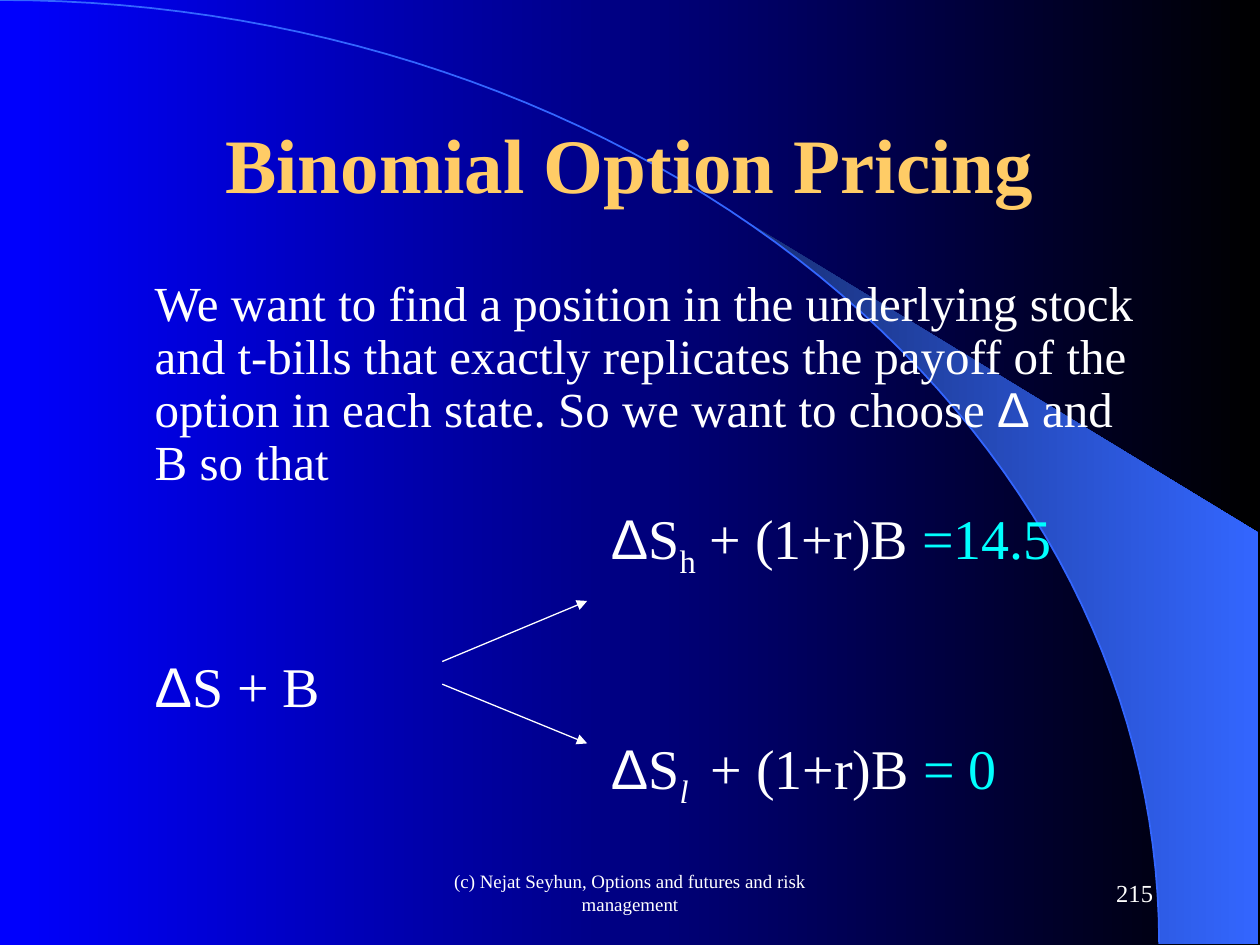
from dataclasses import dataclass
from math import asin, cos, pi, sin

from lxml import etree
from pptx import Presentation
from pptx.dml.color import RGBColor
from pptx.enum.shapes import MSO_CONNECTOR
from pptx.enum.text import MSO_ANCHOR, PP_ALIGN
from pptx.oxml.ns import qn
from pptx.shapes.autoshape import Shape
from pptx.slide import Slide
from pptx.util import Inches, Pt

STRAIGHT = MSO_CONNECTOR.STRAIGHT
TOP, MIDDLE = MSO_ANCHOR.TOP, MSO_ANCHOR.MIDDLE
LEFT, CENTER, RIGHT = PP_ALIGN.LEFT, PP_ALIGN.CENTER, PP_ALIGN.RIGHT

BLUE = RGBColor(0x00, 0x00, 0xFF)
BLACK = RGBColor(0x00, 0x00, 0x00)
WHITE = RGBColor(0xFF, 0xFF, 0xFF)
GOLD = RGBColor(0xFF, 0xCC, 0x66)
CYAN = RGBColor(0x00, 0xFF, 0xFF)
NAVY = RGBColor(0x18, 0x2F, 0x76)
AZURE = RGBColor(0x33, 0x66, 0xFF)

SERIF = "Times New Roman"
SANS = "Arial"
COLUMNS, ROWS = 120, 90
SLIDE_WIDTH, SLIDE_HEIGHT = Inches(10), Inches(7.5)
CELL = SLIDE_WIDTH / COLUMNS

ARC_WIDTH, ARC_HEIGHT = 110.4, 89.88
WEDGE_START = 70.68
WEDGE_RIGHT, WEDGE_SHOULDER = 119.88, 50.76
ARC_STEPS = 60

Point = tuple[float, float]


@dataclass(frozen=True)
class Span:
    text: str
    font: str = SERIF
    color: RGBColor = WHITE
    bold: bool = False
    italic: bool = False
    subscript: bool = False


@dataclass(frozen=True)
class Para:
    spans: tuple[Span, ...]
    size: float
    align: PP_ALIGN = LEFT
    indent: float = 0
    before: float = 0
    spacing: float = 1.0


@dataclass(frozen=True)
class TextBlock:
    column: float
    row: float
    columns: float
    rows: float
    anchor: MSO_ANCHOR
    paras: tuple[Para, ...]


@dataclass(frozen=True)
class Arrow:
    start: Point
    end: Point


DELTA = Span("Δ", SANS)
BODY_INDENT, PAYOFF_INDENT = 0.38, 4


def equation(spans: tuple[Span, ...], indent: float, before: float = 8) -> Para:
    return Para((DELTA, *spans), 32, indent=indent, before=before, spacing=0.9)


def payoff(state: Span, growth: str, value: str) -> Para:
    spans = (Span("S"), state, Span(growth), Span(value, color=CYAN))
    return equation(spans, PAYOFF_INDENT)


BLOCKS = (
    TextBlock(41, 82, 38, 6, MIDDLE, (
        Para((Span("(c) Nejat Seyhun, Options and futures and risk management"),),
             10.8, CENTER),
    )),
    TextBlock(86, 82, 25, 6, MIDDLE, (Para((Span("215"),), 14, RIGHT),)),
    TextBlock(9, 8, 102, 15, MIDDLE, (
        Para((Span("Binomial Option Pricing", color=GOLD, bold=True),), 44, CENTER),
    )),
    TextBlock(9, 26, 102, 54, TOP, (
        Para((
            Span("We want to find a position in the underlying stock and t-bills "
                 "that exactly replicates the payoff of the option in each state. "
                 "So we want to choose "),
            DELTA,
            Span(" and B so that"),
        ), 28, indent=BODY_INDENT, spacing=0.9),
        payoff(Span("h", subscript=True), " + (1+r)B ", "=14.5"),
        equation((Span("S + B"),), BODY_INDENT, before=49),
        payoff(Span("l ", italic=True, subscript=True), " + (1+r)B ", "= 0"),
    )),
)

ARROWS = (
    Arrow((42.12, 63), (55.92, 57.24)),
    Arrow((42.12, 65.16), (55.92, 70.8)),
)


def cells(count: float) -> int:
    return round(count * CELL)


def arc_points(start_column: float) -> list[Point]:
    first = asin(start_column / ARC_WIDTH)
    angles = [first + (pi / 2 - first) * step / ARC_STEPS
              for step in range(ARC_STEPS + 1)]
    return [(ARC_WIDTH * sin(angle), ARC_HEIGHT * (1 - cos(angle)))
            for angle in angles]


def add_outline(slide: Slide, points: list[Point], close: bool) -> Shape:
    corners = [(cells(column), cells(row)) for column, row in points]
    builder = slide.shapes.build_freeform(*corners[0])
    builder.add_line_segments(corners[1:], close=close)
    outline = builder.convert_to_shape()
    outline.shadow.inherit = False
    return outline


def set_gradient(fill, first: RGBColor, last: RGBColor) -> None:
    fill.gradient()
    fill.gradient_angle = 0
    for stop, color in zip(fill.gradient_stops, (first, last)):
        stop.color.rgb = color


def add_backdrop(slide: Slide) -> None:
    set_gradient(slide.background.fill, BLUE, BLACK)
    corners = [(WEDGE_RIGHT, ARC_HEIGHT), (WEDGE_RIGHT, WEDGE_SHOULDER)]
    wedge = add_outline(slide, arc_points(WEDGE_START) + corners, True)
    set_gradient(wedge.fill, NAVY, AZURE)
    wedge.line.fill.background()
    arc = add_outline(slide, arc_points(0), False)
    arc.fill.background()
    arc.line.color.rgb = AZURE
    arc.line.width = Pt(1)


def add_text(slide: Slide, block: TextBlock) -> None:
    box = slide.shapes.add_textbox(
        cells(block.column), cells(block.row), cells(block.columns), cells(block.rows))
    frame = box.text_frame
    frame.word_wrap = True
    frame.vertical_anchor = block.anchor
    for index, item in enumerate(block.paras):
        para = frame.add_paragraph() if index else frame.paragraphs[0]
        para.alignment = item.align
        para.line_spacing = item.spacing
        if item.before:
            para.space_before = Pt(item.before)
        if item.indent:
            para._p.get_or_add_pPr().set("marL", str(Inches(item.indent)))
        for part in item.spans:
            span = para.add_run()
            span.text = part.text
            span.font.name = part.font
            span.font.size = Pt(item.size)
            span.font.color.rgb = part.color
            span.font.bold = part.bold
            span.font.italic = part.italic
            if part.subscript:
                span._r.get_or_add_rPr().set("baseline", "-25000")


def add_arrow(slide: Slide, arrow: Arrow) -> None:
    ends = [cells(value) for value in (*arrow.start, *arrow.end)]
    connector = slide.shapes.add_connector(STRAIGHT, *ends)
    connector.line.color.rgb = WHITE
    connector.line.width = Pt(0.75)
    etree.SubElement(connector.line._get_or_add_ln(), qn("a:tailEnd"), type="triangle")
    etree.SubElement(connector._element.spPr, qn("a:effectLst"))


def main() -> None:
    deck = Presentation()
    deck.slide_width, deck.slide_height = SLIDE_WIDTH, SLIDE_HEIGHT
    page = deck.slides.add_slide(deck.slide_layouts[6])
    add_backdrop(page)
    for block in BLOCKS:
        add_text(page, block)
    for arrow in ARROWS:
        add_arrow(page, arrow)
    deck.save("out.pptx")


if __name__ == "__main__":
    main()
